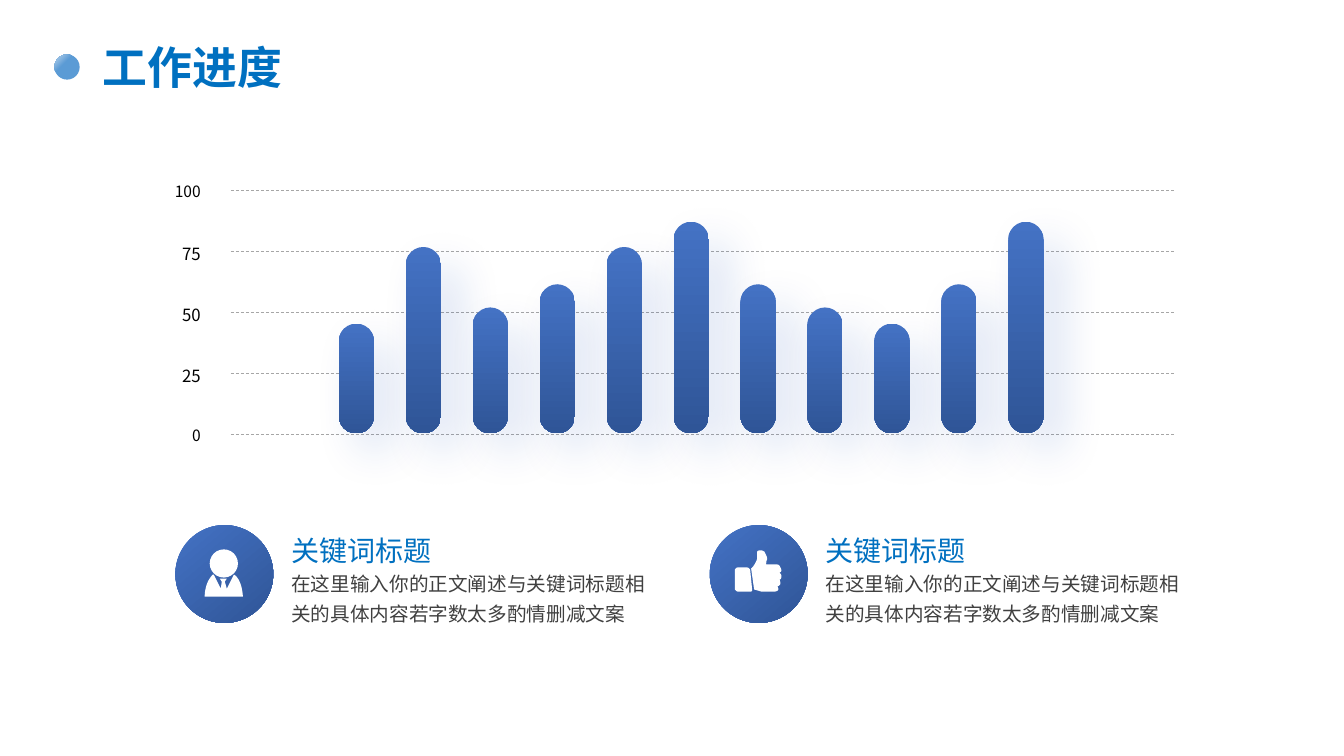
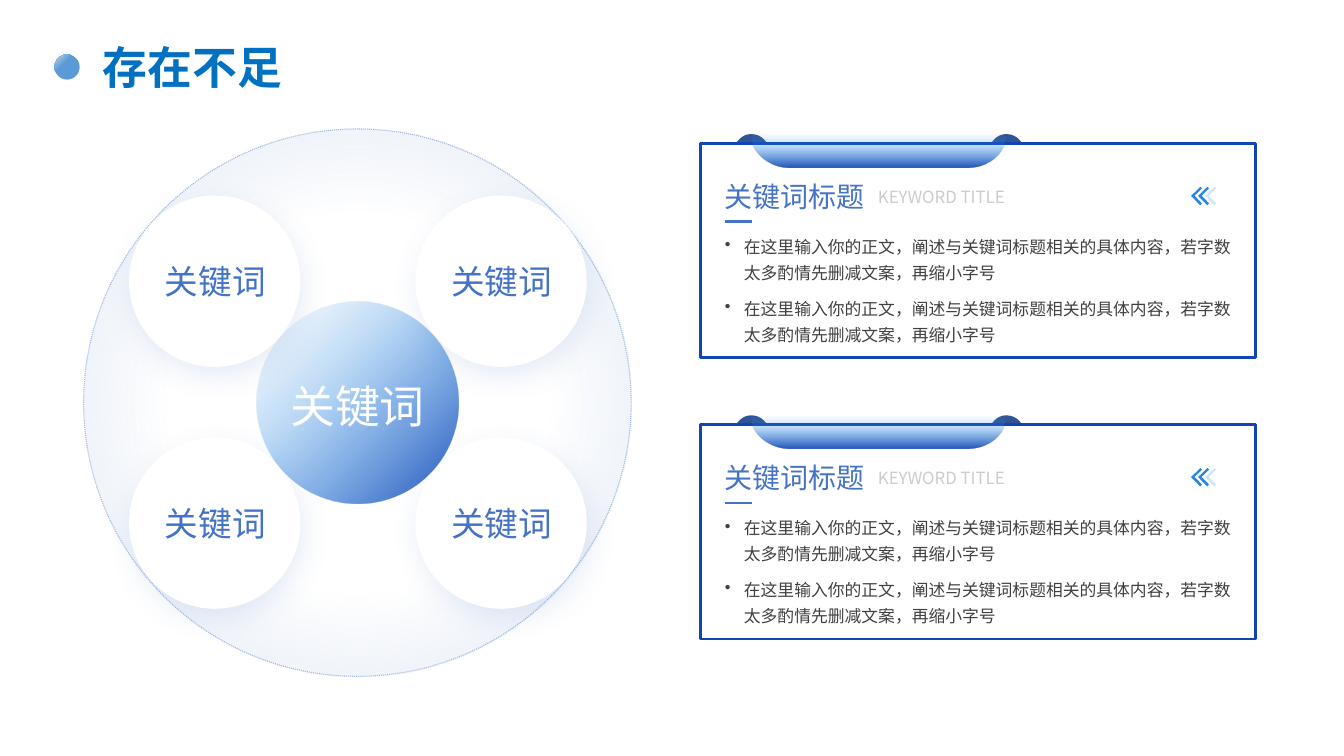
from pptx import Presentation
from pptx import util as u
from pptx.dml.color import RGBColor
from pptx.enum import dml, shapes, text
from pptx.oxml import parse_xml
from pptx.oxml.ns import nsdecls, qn
from lxml import etree

FONT = "Noto Sans CJK SC"
TITLE_BLUE, BLUE, NAVY, ROYAL = "0070C0", "4472C4", "2F5597", "1045B3"
SKY, WHITE, GREY, BLACK = "1F81E2", "FFFFFF", "404040", "000000"
# Gradient stops: position, colour, opacity
DOT_STOPS = [(0, "BDD7EE", 100), (38, "5B9BD5", 100), (85, "5B9BD5", 100)]
BAR_STOPS = [(0, BLUE, 100), (100, NAVY, 100)]
GLASS_STOPS = [(0, "4F9CE8", 0), (38, SKY, 30), (98, ROYAL, 90)]
TOP_LEFT, CENTRE = (0, 0, 100, 100), (50, 50, 50, 50)
SHAPE, LINE = shapes.MSO_SHAPE, shapes.MSO_CONNECTOR.STRAIGHT


def paint(shape, fill=None, angle=0, focus=None, line=None, shadow=None):
    """fill: hex or stops; line: hex, width, dash; shadow: hex, opacity, blur, distance, angle."""
    properties = shape._element.spPr
    if line:
        color, width, dash = line
        shape.line.color.rgb = RGBColor.from_string(color)
        shape.line.width = u.Pt(width)
        shape.line.dash_style = dash
    else:
        shape.line.fill.background()
    if isinstance(fill, str):
        shape.fill.solid()
        shape.fill.fore_color.rgb = RGBColor.from_string(fill)
    elif fill:
        stops = "".join(
            f'<a:gs pos="{position * 1000}"><a:srgbClr val="{color}">'
            f'<a:alpha val="{opacity * 1000}"/></a:srgbClr></a:gs>'
            for position, color, opacity in fill)
        direction = f'<a:lin ang="{angle * 60000}" scaled="0"/>'
        if focus:
            sides = " ".join(f'{side}="{value * 1000}"' for side, value in zip("ltrb", focus))
            direction = f'<a:path path="circle"><a:fillToRect {sides}/></a:path>'
        properties.insert(2, parse_xml(
            f'<a:gradFill {nsdecls("a")} rotWithShape="1"><a:gsLst>{stops}</a:gsLst>'
            f'{direction}</a:gradFill>'))
    effect = ""
    if shadow:
        color, opacity, blur, distance, turn = shadow
        effect = (f'<a:outerShdw blurRad="{u.Pt(blur)}" dist="{u.Pt(distance)}" '
                  f'dir="{turn * 60000}" algn="tl" rotWithShape="0"><a:srgbClr val="{color}">'
                  f'<a:alpha val="{opacity * 1000}"/></a:srgbClr></a:outerShdw>')
    properties.append(parse_xml(f'<a:effectLst {nsdecls("a")}>{effect}</a:effectLst>'))


def write(parent, box, words, size, color, align=text.PP_ALIGN.LEFT, spacing=None,
          bold=False, wrap=True, middle=False, bullet=False):
    frame = parent.add_textbox(*map(u.Inches, box)).text_frame
    frame.word_wrap = wrap
    if wrap:
        frame.auto_size = text.MSO_AUTO_SIZE.SHAPE_TO_FIT_TEXT
    if middle:
        frame.vertical_anchor = text.MSO_ANCHOR.MIDDLE
    paragraph = frame.paragraphs[0]
    if bullet:
        settings = paragraph._p.get_or_add_pPr()
        settings.set("marL", str(u.Inches(0.19)))
        settings.set("indent", str(-u.Inches(0.19)))
        etree.SubElement(settings, qn("a:buChar"), char="•")
    paragraph.alignment = align
    paragraph.line_spacing = spacing
    run = paragraph.add_run()
    run.text = words
    run.font.size, run.font.bold, run.font.name = u.Pt(size), bold, FONT
    run.font.color.rgb = RGBColor.from_string(color)
    etree.SubElement(run._r.get_or_add_rPr(), qn("a:ea"), typeface=FONT)


# Outlines in inches: a pair is a corner, six numbers are a Bézier curve
outlines = {
    "body": [(0.29, 0), (0.22, 0.14), (0.2, 0.07), (0.22, 0.04), (0.2, 0.04), (0.15, 0.04),
             (0.17, 0.07), (0.16, 0.14), (0.09, 0), (0.08, 0), (0, 0.08, 0, 0.21, 0, 0.22),
             (0.38, 0.22), (0.37, 0.06, 0.31, 0.01, 0.29, 0)],
    "cuff": [(0.12, 0), (0.03, 0), (0.01, 0, 0.01, 0.01, 0, 0.02), (0, 0.22),
             (0.01, 0.23, 0.02, 0.24, 0.03, 0.24), (0.15, 0.24),
             (0.17, 0.24, 0.17, 0.23, 0.17, 0.22), (0.15, 0.02),
             (0.14, 0.01, 0.13, 0, 0.12, 0)],
    "thumb": [(0.3, 0.25), (0.3, 0.24, 0.29, 0.23, 0.28, 0.22),
              (0.29, 0.22, 0.3, 0.21, 0.3, 0.2), (0.3, 0.18, 0.29, 0.17, 0.28, 0.15),
              (0.27, 0.14, 0.26, 0.14, 0.24, 0.14), (0.15, 0.14),
              (0.15, 0.12, 0.15, 0.1, 0.16, 0.09), (0.16, 0.06, 0.14, 0.03, 0.13, 0.01),
              (0.12, 0.01, 0.11, 0, 0.1, 0), (0.08, 0, 0.06, 0, 0.06, 0.02),
              (0.06, 0.03, 0.06, 0.06, 0.06, 0.08), (0.06, 0.1, 0.02, 0.17, 0, 0.18),
              (0.03, 0.39), (0.05, 0.39, 0.09, 0.41, 0.11, 0.41), (0.22, 0.41),
              (0.23, 0.41, 0.26, 0.41, 0.27, 0.39), (0.27, 0.38, 0.27, 0.37, 0.26, 0.36),
              (0.28, 0.35, 0.29, 0.34, 0.29, 0.33), (0.29, 0.32, 0.29, 0.3, 0.28, 0.29),
              (0.3, 0.29, 0.3, 0.27, 0.3, 0.25)],
    "ear": [(0, 0.18), (0, 0.08, 0.08, 0, 0.17, 0), (0.27, 0, 0.35, 0.08, 0.35, 0.18)],
    "tab": [(0, 0), (2.53, 0), (2.5, 0.13), (2.45, 0.24, 2.31, 0.33, 2.15, 0.33),
            (0.38, 0.33), (0.23, 0.33, 0.09, 0.24, 0.03, 0.13)],
}
traces = {}
for name, steps in outlines.items():
    trace = []
    for step in steps:
        if len(step) == 2:
            trace.append(step)
            continue
        start, controls = trace[-1], (step[:2], step[2:4], step[4:])
        for t in (i / 8 for i in range(1, 9)):
            weights = ((1 - t) ** 3, 3 * t * (1 - t) ** 2, 3 * t * t * (1 - t), t ** 3)
            trace.append(tuple(sum(w * point[axis] for w, point in zip(weights, (start, *controls)))
                               for axis in (0, 1)))
    traces[name] = [(u.Inches(x), u.Inches(y)) for x, y in trace]

presentation = Presentation()
presentation.slide_width, presentation.slide_height = u.Inches(13.33), u.Inches(7.5)

# Shared heading: dot and title
slides = []
for title in ("工作进度", "存在不足"):
    slide = presentation.slides.add_slide(presentation.slide_layouts[6])
    dot = slide.shapes.add_shape(SHAPE.OVAL, *map(u.Inches, (0.54, 0.54, 0.25, 0.25)))
    paint(dot, DOT_STOPS, focus=TOP_LEFT)
    write(slide.shapes, (0.92, 0.4, 2.19, 0.59), title, 32, TITLE_BLUE,
          spacing=0.9, bold=True, middle=True)
    slides.append(slide)
progress, shortcomings = slides

# Progress: scale and grid lines
chart = progress.shapes.add_group_shape().shapes
for i, (label, size) in enumerate([("100", 11.1), ("75", 12), ("50", 12), ("25", 12), ("0", 11.1)]):
    y = 1.89 + 0.605 * i
    write(chart, (1.59, y - 0.13, 0.5, 0.27), label, size, BLACK, text.PP_ALIGN.RIGHT)
    grid_line = chart.add_connector(LINE, *map(u.Inches, (2.29, y, 11.66, y)))
    paint(grid_line, line=("A6A6A6", 0.5, dml.MSO_LINE.DASH))

# Progress: bars standing on the zero line
for i, height in enumerate([1.09, 1.85, 1.25, 1.48, 1.85, 2.1, 1.48, 1.25, 1.09, 1.48, 2.1]):
    bar = chart.add_shape(SHAPE.ROUNDED_RECTANGLE,
                          *map(u.Inches, (3.36 + 0.664 * i, 4.3 - height, 0.35, height)))
    bar.adjustments[0] = 0.5
    paint(bar, BAR_STOPS, angle=90, shadow=(ROYAL, 14, 32, 19, 45))

# Progress: two key points, each with its icon pieces
for x, pieces in ((1.74, [("body", 2.03, 5.7)]),
                  (7.04, [("cuff", 7.29, 5.63), ("thumb", 7.45, 5.46)])):
    point = progress.shapes.add_group_shape().shapes
    write(point, (x + 1.05, 5.15, 2.37, 0.51), "关键词标题", 20, TITLE_BLUE,
          spacing=1.3, middle=True)
    write(point, (x + 1.05, 5.55, 3.84, 0.69),
          "在这里输入你的正文阐述与关键词标题相关的具体内容若字数太多酌情删减文案",
          14, GREY, spacing=1.3)
    badge = point.add_shape(SHAPE.OVAL, *map(u.Inches, (x, 5.21, 0.97, 0.97)))
    paint(badge, BAR_STOPS, angle=50)
    for name, left, top in pieces:
        builder = point.build_freeform(*traces[name][0])
        builder.add_line_segments(traces[name][1:])
        paint(builder.convert_to_shape(u.Inches(left), u.Inches(top)), WHITE)
    if pieces[0][0] == "body":
        head = point.add_shape(SHAPE.OVAL, *map(u.Inches, (2.08, 5.45, 0.28, 0.28)))
        paint(head, WHITE)

# Shortcomings: ring, four satellites and hub
ring = shortcomings.shapes.add_shape(SHAPE.OVAL, *map(u.Inches, (0.83, 1.28, 5.43, 5.43)))
paint(ring, [(49, "DAE3F3", 0), (100, "DEEBF7", 100)], focus=CENTRE,
      line=("A1B8E1", 0.75, dml.MSO_LINE.ROUND_DOT))
corners = [(x, y) for y in (1.94, 4.34) for x in (1.28, 4.12)]
for x, y in corners:
    satellite = shortcomings.shapes.add_shape(SHAPE.OVAL, *map(u.Inches, (x, y, 1.7, 1.7)))
    paint(satellite, WHITE, shadow=(BLUE, 12, 20, 7, 70))
hub = shortcomings.shapes.add_shape(SHAPE.OVAL, *map(u.Inches, (2.55, 2.99, 2, 2)))
paint(hub, GLASS_STOPS, focus=TOP_LEFT)
write(shortcomings.shapes, (2.78, 3.71, 1.55, 0.64), "关键词", 32, WHITE, wrap=False)
for x, y in corners:
    write(shortcomings.shapes, (x + 0.25, y + 0.6, 1.21, 0.5), "关键词", 24, BLUE,
          text.PP_ALIGN.CENTER, wrap=False)

# Shortcomings: two cards hanging from a tab
for y in (1.33, 4.12):
    card = shortcomings.shapes.add_group_shape().shapes
    for x in (7.28, 9.81):
        builder = card.build_freeform(*traces["ear"][0])
        builder.add_line_segments(traces["ear"][1:])
        paint(builder.convert_to_shape(u.Inches(x), u.Inches(y)), NAVY)
    panel = card.add_shape(SHAPE.RECTANGLE, *map(u.Inches, (6.95, y + 0.09, 5.5, 2.13)))
    paint(panel, WHITE, line=(ROYAL, 2, None))
    write(card, (7.09, y + 0.4, 1.6, 0.44), "关键词标题", 20, BLUE, wrap=False)
    write(card, (8.61, y + 0.47, 1.54, 0.3), "KEYWORD TITLE", 12, "CCCCCC", wrap=False)
    underline = card.add_connector(LINE, *map(u.Inches, (7.19, y + 0.87, 7.46, y + 0.87)))
    paint(underline, line=(BLUE, 2, None))
    for offset in (0.91, 1.52):
        write(card, (7.09, y + offset, 5.23, 0.61),
              "在这里输入你的正文，阐述与关键词标题相关的具体内容，若字数太多酌情先删减文案，再缩小字号",
              12, GREY, spacing=1.3, bullet=True)
    for i, color in enumerate(("2886E3", "2886E3", "D2E6F9")):
        chevron = card.add_shape(SHAPE.CORNER,
                                 *map(u.Inches, (11.84 + 0.07 * i, y + 0.55, 0.13, 0.13)))
        chevron.adjustments[0], chevron.adjustments[1] = 0.198, 0.178
        chevron.rotation = 45.9
        paint(chevron, color)
    builder = card.build_freeform(*traces["tab"][0])
    builder.add_line_segments(traces["tab"][1:])
    paint(builder.convert_to_shape(u.Inches(7.45), u.Inches(y)), GLASS_STOPS, angle=90)

presentation.save("out.pptx")
